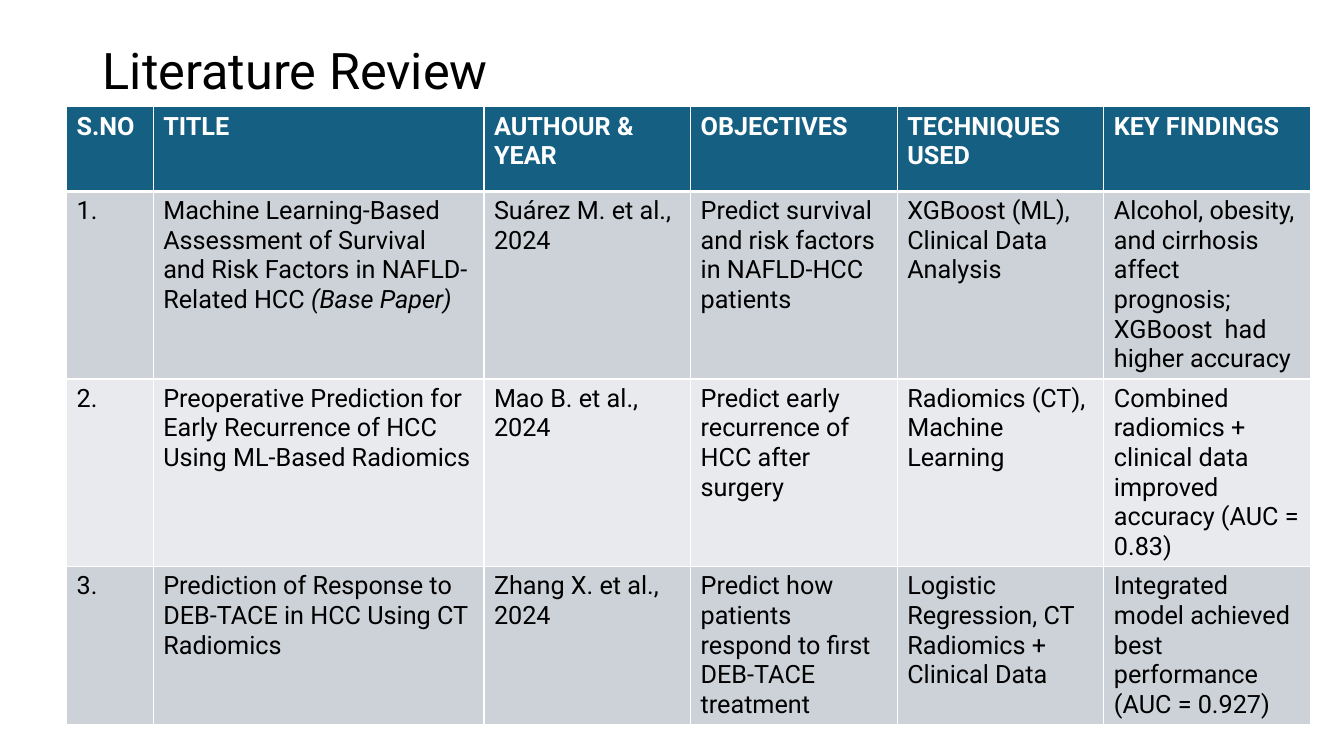
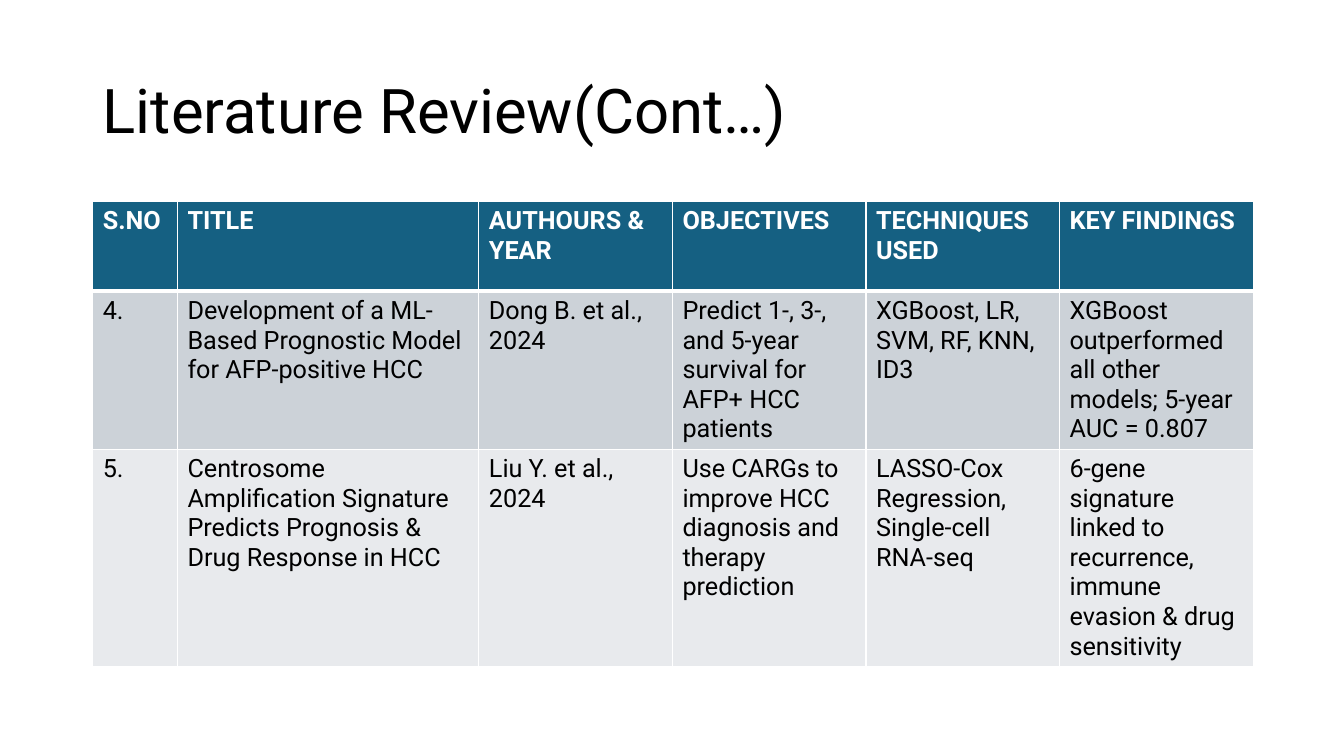
"""Build two literature review slides, each with a title and a table."""
from dataclasses import dataclass

from lxml import etree
from pptx import Presentation
from pptx.dml.color import RGBColor
from pptx.enum.text import MSO_ANCHOR, MSO_AUTO_SIZE, PP_ALIGN
from pptx.oxml.ns import qn
from pptx.util import Inches, Pt

LEFT = PP_ALIGN.LEFT
MIDDLE = MSO_ANCHOR.MIDDLE
NO_FIT = MSO_AUTO_SIZE.NONE


@dataclass(frozen=True)
class Theme:
    """Hold the colours, font and sizes that the slides share."""
    font: str = "Roboto"
    ink: str = "000000"
    white: str = "FFFFFF"
    header: str = "156082"
    bands: tuple = ("CCD2D8", "E8EAED")
    table_size: int = 18
    thin: int = 1
    thick: int = 3


THEME = Theme()

SLIDES = [
    {
        "title": "Literature Review",
        "title_size": 36,
        "title_box": (0.92, 0.4, 11.58, 0.66),
        "table_at": (0.66, 1.06),
        "cols": (0.86, 3.28) + (2.05,) * 4,
        "row_heights": (0.84, 1.86, 1.86, 1.55),
        "rows": [
            ("S.NO", "TITLE", "AUTHOUR & YEAR", "OBJECTIVES",
             "TECHNIQUES USED", "KEY FINDINGS"),
            ("1.",
             ("Machine Learning-Based Assessment of Survival and Risk "
              "Factors in NAFLD-Related HCC ", "(Base Paper)"),
             "Suárez M. et al., 2024",
             "Predict survival and risk factors in NAFLD-HCC patients",
             "XGBoost (ML), Clinical Data Analysis",
             "Alcohol, obesity, and cirrhosis affect prognosis; "
             "XGBoost  had higher accuracy"),
            ("2.",
             "Preoperative Prediction for Early Recurrence of HCC Using "
             "ML-Based Radiomics",
             "Mao B. et al., 2024",
             "Predict early recurrence of HCC after surgery",
             "Radiomics (CT), Machine Learning",
             "Combined radiomics + clinical data improved accuracy "
             "(AUC = 0.83)"),
            ("3.",
             "Prediction of Response to DEB-TACE in HCC Using CT Radiomics",
             "Zhang X. et al., 2024",
             "Predict how patients respond to first DEB-TACE treatment",
             "Logistic Regression, CT Radiomics + Clinical Data",
             "Integrated model achieved best performance (AUC = 0.927)"),
        ],
    },
    {
        "title": "Literature Review(Cont…)",
        "title_size": 44,
        "title_box": (0.92, 0.4, 11.5, 1.45),
        "table_at": (0.92, 2),
        "cols": (0.84, 2.99) + (1.92,) * 4,
        "row_heights": (0.89, 1.55, 2.15),
        "rows": [
            ("S.NO", "TITLE", "AUTHOURS & YEAR", "OBJECTIVES",
             "TECHNIQUES USED", "KEY FINDINGS"),
            ("4.",
             "Development of a ML-Based Prognostic Model for "
             "AFP-positive HCC",
             "Dong B. et al., 2024",
             "Predict 1-, 3-, and 5-year survival for AFP+ HCC patients",
             "XGBoost, LR, SVM, RF, KNN, ID3",
             "XGBoost outperformed all other models; 5-year AUC = 0.807"),
            ("5.",
             "Centrosome Amplification Signature Predicts Prognosis & "
             "Drug Response in HCC",
             "Liu Y. et al., 2024",
             "Use CARGs to improve HCC diagnosis and therapy prediction",
             "LASSO-Cox Regression, Single-cell RNA-seq",
             "6-gene signature linked to recurrence, immune evasion & "
             "drug sensitivity"),
        ],
    },
]


def write(p, text, *, size, color=THEME.ink, bold=False, italic=False):
    """Add one formatted run to a paragraph."""
    p.alignment = LEFT
    r = p.add_run()
    r.text = text
    r.font.name = THEME.font
    r.font.size = Pt(size)
    r.font.color.rgb = RGBColor.from_string(color)
    r.font.bold = bold
    r.font.italic = italic


def set_borders(cell, top, bottom):
    """Draw white lines on the four sides of a cell."""
    tc_pr = cell._tc.get_or_add_tcPr()
    sides = {"L": THEME.thin, "R": THEME.thin, "T": top, "B": bottom}
    for side, width in sides.items():
        ln = etree.SubElement(tc_pr, qn(f"a:ln{side}"), w=str(Pt(width)))
        fill = etree.SubElement(ln, qn("a:solidFill"))
        etree.SubElement(fill, qn("a:srgbClr"), val=THEME.white)


def add_title(s, text, size, box):
    """Place and format the title placeholder."""
    sp = s.shapes.title
    sp.left, sp.top, sp.width, sp.height = map(Inches, box)
    tf = sp.text_frame
    tf.auto_size = NO_FIT
    tf.word_wrap = True
    tf.vertical_anchor = MIDDLE
    p = tf.paragraphs[0]
    p.line_spacing = 0.9
    write(p, text, size=size)


def fill_cell(cell, content, row):
    """Give a cell its borders, fill and text according to its row."""
    header = row == 0
    set_borders(cell,
                top=THEME.thick if row == 1 else THEME.thin,
                bottom=THEME.thick if header else THEME.thin)
    fill = THEME.header if header else THEME.bands[(row - 1) % 2]
    cell.fill.solid()
    cell.fill.fore_color.rgb = RGBColor.from_string(fill)
    parts = (content,) if isinstance(content, str) else content
    for i, text in enumerate(parts):
        write(cell.text_frame.paragraphs[0], text, size=THEME.table_size,
              color=THEME.white if header else THEME.ink,
              bold=header, italic=i > 0)


def add_review_table(s, at, cols, heights, rows):
    """Add the table of reviewed papers."""
    box = map(Inches, (*at, sum(cols), sum(heights)))
    table = s.shapes.add_table(len(rows), len(cols), *box).table
    for column, width in zip(table.columns, cols):
        column.width = Inches(width)
    for i, (height, contents) in enumerate(zip(heights, rows)):
        table.rows[i].height = Inches(height)
        for j, content in enumerate(contents):
            fill_cell(table.cell(i, j), content, i)


def main():
    """Build and save the presentation."""
    prs = Presentation()
    prs.slide_width, prs.slide_height = Inches(13.33), Inches(7.5)
    title_only = prs.slide_layouts.get_by_name("Title Only")
    for spec_ in SLIDES:
        s = prs.slides.add_slide(title_only)
        add_title(s, spec_["title"], spec_["title_size"], spec_["title_box"])
        add_review_table(s, spec_["table_at"], spec_["cols"],
                         spec_["row_heights"], spec_["rows"])
    prs.save("out.pptx")


if __name__ == "__main__":
    main()
